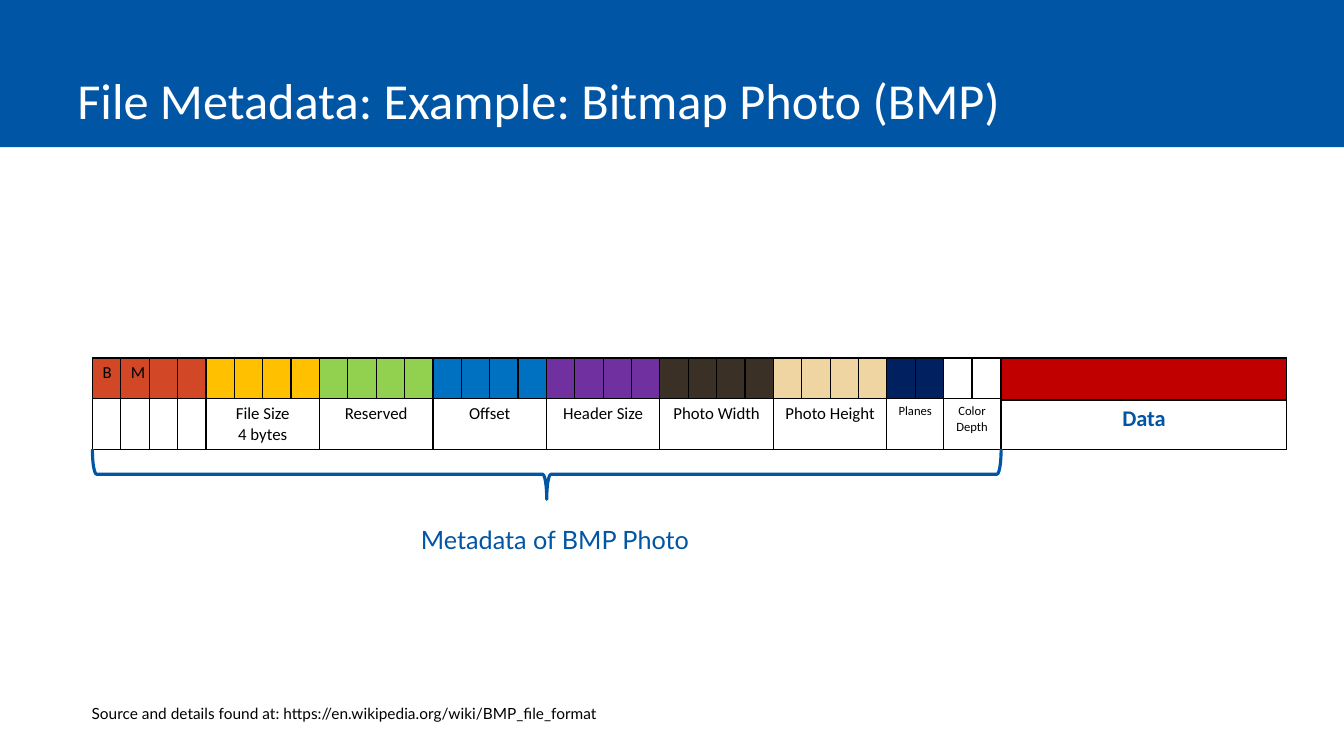
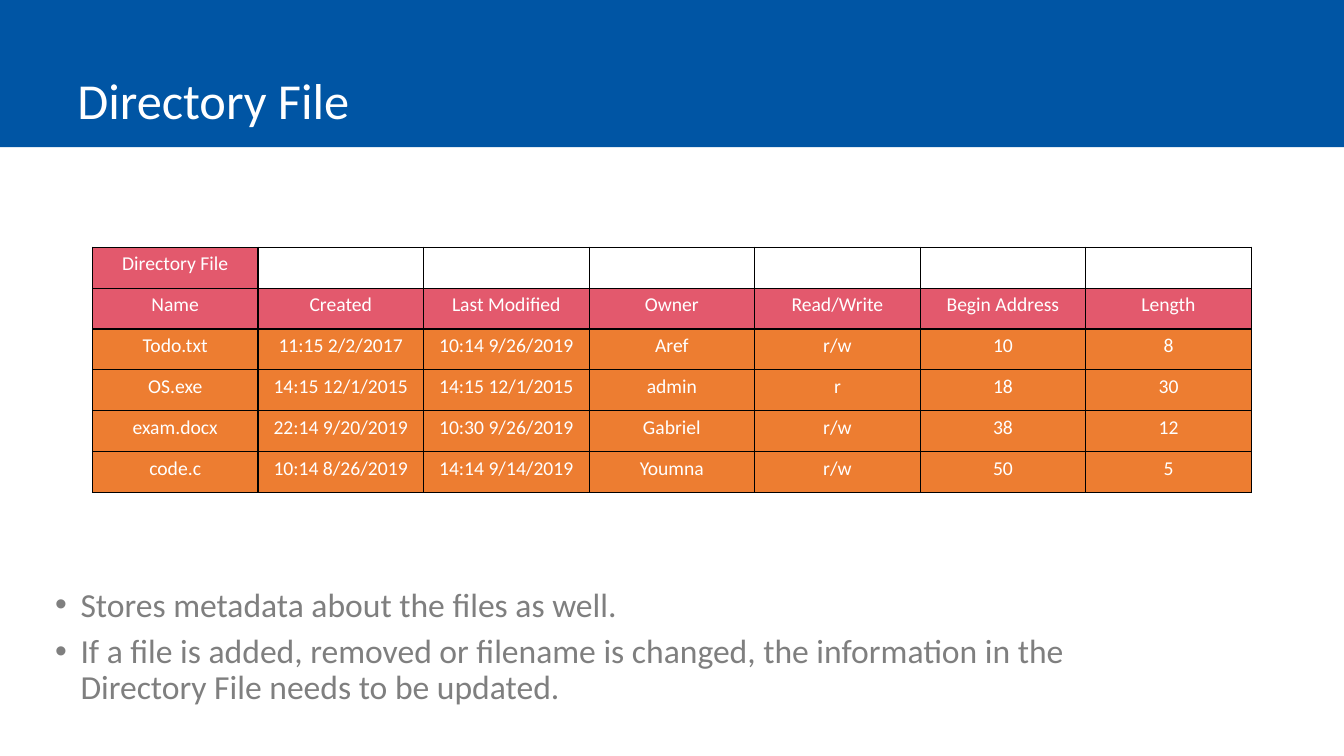
from lxml import etree
from pptx import Presentation
from pptx.dml.color import RGBColor
from pptx.enum.shapes import MSO_SHAPE as Shape
from pptx.enum.text import MSO_ANCHOR as Anchor, PP_ALIGN as Align
from pptx.oxml.ns import qn
from pptx.util import Cm, Pt

rgb = RGBColor.from_string
BLUE, WHITE, BLACK, GREY = "0055A4", "FFFFFF", "000000", "7F7F7F"
ROSE, ORANGE = "E3596D", "ED7D31"


def write(frame, lines, size, color, font="Calibri", align=Align.LEFT, bold=False):
    """Fill a text frame, one paragraph per line."""
    frame.word_wrap = True
    for index, line in enumerate(lines):
        paragraph = frame.add_paragraph() if index else frame.paragraphs[0]
        paragraph.alignment = align
        run = paragraph.add_run()
        run.text = line
        run.font.size = Pt(size)
        run.font.name = font
        run.font.bold = bold
        run.font.color.rgb = rgb(color)


def add_grid(slide, left, top, widths, heights, fills):
    """Add a table with thin black borders; fills holds one row of colours per table row."""
    grid = slide.shapes.add_table(len(heights), len(widths), left, top,
                                  sum(widths), sum(heights)).table
    grid.first_row = grid.horz_banding = False
    for column, width in zip(grid.columns, widths):
        column.width = width
    for row, height, row_fills in zip(grid.rows, heights, fills):
        row.height = height
        for cell, fill in zip(row.cells, row_fills):
            properties = cell._tc.get_or_add_tcPr()
            for side in ("a:lnL", "a:lnR", "a:lnT", "a:lnB"):
                border = etree.SubElement(properties, qn(side), w=str(Pt(1)))
                solid = etree.SubElement(border, qn("a:solidFill"))
                etree.SubElement(solid, qn("a:srgbClr"), val=BLACK)
            if fill:
                cell.fill.solid()
                cell.fill.fore_color.rgb = rgb(fill)
            else:
                cell.fill.background()
    return grid


deck = Presentation()
deck.slide_width, deck.slide_height = Cm(33.87), Cm(19.05)

# Shared band and title
slides = []
for heading in ("File Metadata: Example: Bitmap Photo (BMP)", "Directory File"):
    slide = deck.slides.add_slide(deck.slide_layouts[6])
    band = slide.shapes.add_shape(Shape.RECTANGLE, 0, 0, deck.slide_width, Cm(3.71))
    band.shadow.inherit = False
    band.fill.solid()
    band.fill.fore_color.rgb = rgb(BLUE)
    band.line.fill.background()
    title = slide.shapes.add_textbox(Cm(1.7), 0, Cm(29.85), Cm(3.4)).text_frame
    title.vertical_anchor = Anchor.BOTTOM
    write(title, [heading], 36, WHITE)
    slides.append(slide)
bitmap_slide, directory_slide = slides

# Slide 1: header bytes, as (lines, byte count, colour, text size)
fields = [
    ([], 4, "D24726", 12),
    (["File Size", "4 bytes"], 4, "FFC000", 12),
    (["Reserved"], 4, "92D050", 12),
    (["Offset"], 4, "0070C0", 12),
    (["Header Size"], 4, "7030A0", 12),
    (["Photo Width"], 4, "3B3026", 12),
    (["Photo Height"], 4, "EFD5A2", 12),
    (["Planes"], 2, "002060", 9),
    (["Color Depth"], 2, None, 9),
]
byte_fills = [color for _, count, color, _ in fields for _ in range(count)]
byte_count = len(byte_fills)
grid_left, bytes_top = Cm(2.33), Cm(9.02)
header_width = Cm(22.9)
header = add_grid(bitmap_slide, grid_left, bytes_top,
                  [header_width // byte_count] * byte_count, [Cm(1.03), Cm(1.28)],
                  [byte_fills, [None] * byte_count])
for column, letter in enumerate("BM"):
    write(header.cell(0, column).text_frame, [letter], 12, BLACK, align=Align.CENTER)
first = 0
for lines, count, _, size in fields:
    if lines:
        label = header.cell(1, first)
        label.merge(header.cell(1, first + count - 1))
        write(label.text_frame, lines, size, BLACK, align=Align.CENTER)
    first += count

# Data block
data = add_grid(bitmap_slide, grid_left + header_width, bytes_top, [Cm(7.2)],
                [Cm(1.06), Cm(1.25)], [["C00000"], [None]])
write(data.cell(1, 0).text_frame, ["Data"], 16, BLUE, align=Align.CENTER, bold=True)

# Brace under the header, turned to point down
brace_depth, brace_top = Cm(1.26), Cm(11.32)
brace = bitmap_slide.shapes.add_shape(
    Shape.LEFT_BRACE, grid_left + (header_width - brace_depth) // 2,
    brace_top + (brace_depth - header_width) // 2, brace_depth, header_width)
brace.rotation = 270
brace.shadow.inherit = False
brace.fill.background()
brace.line.color.rgb = rgb(BLUE)
brace.line.width = Pt(2.25)

# Caption and source
caption = bitmap_slide.shapes.add_textbox(Cm(10.36), Cm(13.1), Cm(8.74), Cm(1.03))
write(caption.text_frame, ["Metadata of BMP Photo"], 18, BLUE, "Lato")
source = bitmap_slide.shapes.add_textbox(Cm(2.06), Cm(17.63), Cm(25.45), Cm(0.73))
write(source.text_frame,
      ["Source and details found at: https://en.wikipedia.org/wiki/BMP_file_format"],
      11, BLACK, "Lato")

# Slide 2: directory listing
listing = [
    ["Directory File"],
    ["Name", "Created", "Last Modified", "Owner", "Read/Write", "Begin Address", "Length"],
    ["Todo.txt", "11:15 2/2/2017", "10:14 9/26/2019", "Aref", "r/w", "10", "8"],
    ["OS.exe", "14:15 12/1/2015", "14:15 12/1/2015", "admin", "r", "18", "30"],
    ["exam.docx", "22:14 9/20/2019", "10:30 9/26/2019", "Gabriel", "r/w", "38", "12"],
    ["code.c", "10:14 8/26/2019", "14:14 9/14/2019", "Youmna", "r/w", "50", "5"],
]
column_count = len(listing[1])
listing_fills = [[ROSE] + [None] * (column_count - 1), [ROSE] * column_count]
listing_fills += [[ORANGE] * column_count for _ in listing[2:]]
directory = add_grid(directory_slide, grid_left, Cm(6.23),
                     [Cm(29.21) // column_count] * column_count,
                     [Cm(1.03)] * len(listing), listing_fills)
for row, entries in enumerate(listing):
    for column, entry in enumerate(entries):
        write(directory.cell(row, column).text_frame, [entry], 14, WHITE, align=Align.CENTER)

# Bulleted remarks
remarks = directory_slide.shapes.add_textbox(Cm(1.14), Cm(14.7), Cm(28.7), Cm(3.6)).text_frame
write(remarks, [
    "Stores metadata about the files as well.",
    "If a file is added, removed or filename is changed, the information in the "
    "Directory File needs to be updated.",
], 24, GREY)
for index, paragraph in enumerate(remarks.paragraphs):
    paragraph.line_spacing = 0.9
    if index:
        paragraph.space_before = Pt(7.2)
    properties = paragraph._p.get_or_add_pPr()
    properties.set("marL", str(Cm(0.64)))
    properties.set("indent", str(-Cm(0.64)))
    bullet_color = etree.SubElement(properties, qn("a:buClr"))
    etree.SubElement(bullet_color, qn("a:srgbClr"), val=GREY)
    etree.SubElement(properties, qn("a:buFont"), typeface="Arial")
    etree.SubElement(properties, qn("a:buChar"), char="•")

deck.save("out.pptx")
